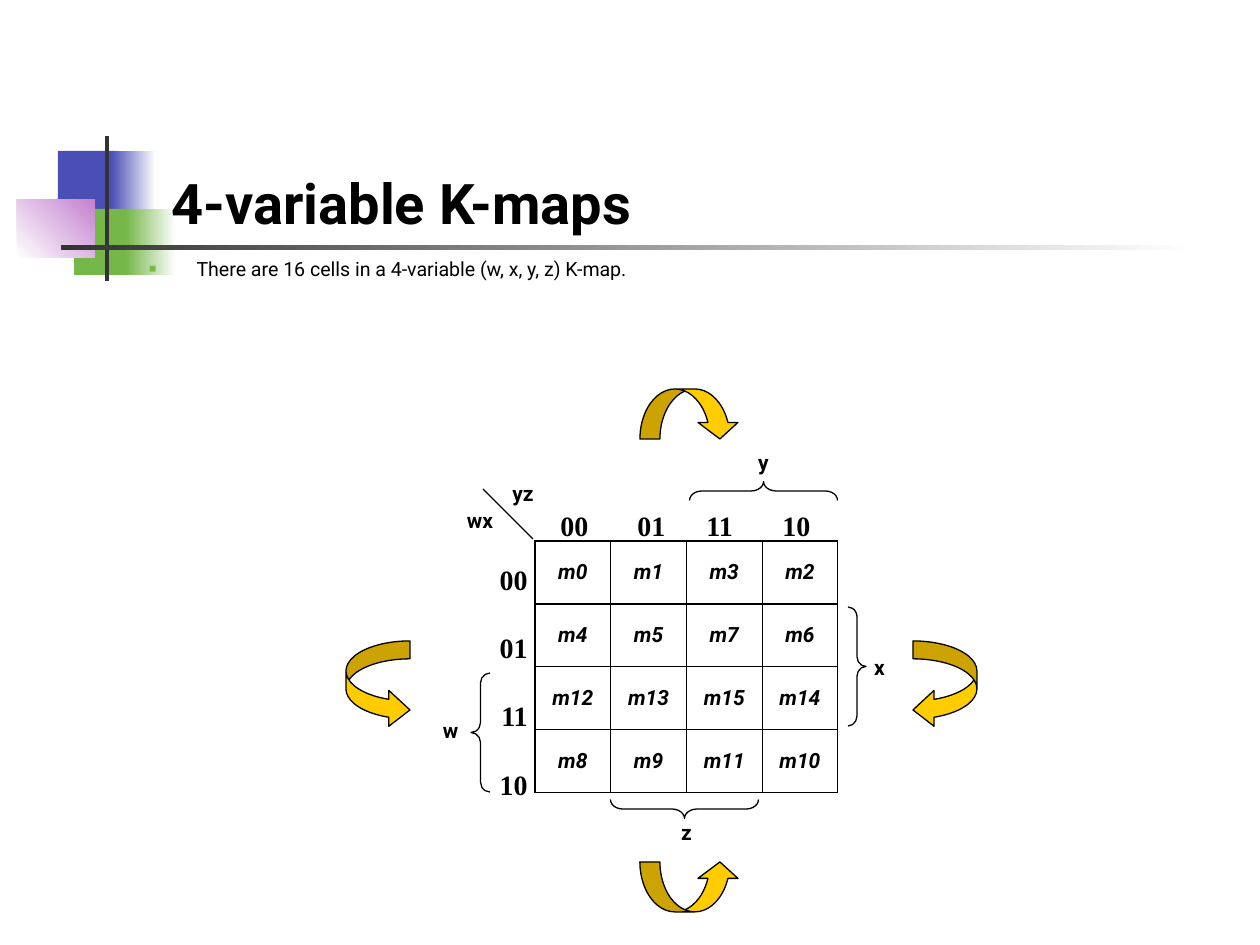
from lxml.etree import SubElement
from pptx import Presentation
from pptx.dml.color import RGBColor
from pptx.enum.shapes import MSO_CONNECTOR, MSO_SHAPE as SHAPE
from pptx.enum.text import MSO_ANCHOR as ANCHOR, MSO_AUTO_SIZE, PP_ALIGN as ALIGN
from pptx.oxml import parse_xml
from pptx.oxml.ns import nsdecls, qn
from pptx.util import Pt

PX = 914400 // 126
SANS, SERIF = "Roboto", "Times New Roman"
COLORS = {
    "black": "000000", "white": "FFFFFF", "blue": "4B4EB5", "green": "76B749",
    "pink": "C481CF", "bar": "333333", "arrow": "FFCC00",
}

TITLE = "4-variable K-maps"
POINT = "There are 16 cells in a 4-variable (w, x, y, z) K-map."
MINTERMS = [
    ["m0", "m1", "m3", "m2"],
    ["m4", "m5", "m7", "m6"],
    ["m12", "m13", "m15", "m14"],
    ["m8", "m9", "m11", "m10"],
]
GRAY_CODES = ["00", "01", "11", "10"]
HEADER_TABS = [77, 146, 222]
MAP_BOX = (535, 541, 303, 252)

DECOR = [
    ((58, 151, 60, 66), ["blue"], 0),
    ((111, 151, 45, 66), ["blue", "white"], 0),
    ((74, 209, 58, 66), ["green"], 0),
    ((126, 209, 50, 66), ["green", "white"], 0),
    ((17, 199, 78, 59), ["white", "pink"], 45),
    ((105, 136, 4, 145), ["bar"], 0),
    ((61, 245, 1134, 5), ["bar", "white"], 0),
]
VARIABLES = [
    ("w", (423, 711, 55, 50)),
    ("x", (852, 648, 55, 50)),
    ("y", (736, 443, 55, 40)),
    ("z", (659, 813, 55, 38)),
    ("wx", (447, 501, 66, 45)),
    ("yz", (490, 474, 66, 40)),
]
BRACES = [
    (SHAPE.LEFT_BRACE, (471, 673, 19, 119), 0),
    (SHAPE.RIGHT_BRACE, (848, 607, 18, 119), 0),
    (SHAPE.LEFT_BRACE, (754, 417, 19, 148), 90),
    (SHAPE.LEFT_BRACE, (675, 735, 19, 148), 270),
]
SIDE_BEND, END_BEND = (0.28, 0.56, 0.33), (0.4, 0.8, 0.33)
WRAP_ARROWS = [
    (SHAPE.CURVED_RIGHT_ARROW, (346, 641, 64, 87), SIDE_BEND),
    (SHAPE.CURVED_LEFT_ARROW, (913, 641, 64, 87), SIDE_BEND),
    (SHAPE.CURVED_UP_ARROW, (640, 862, 100, 50), END_BEND),
    (SHAPE.CURVED_DOWN_ARROW, (640, 389, 100, 50), END_BEND),
]


def rgb(name):
    return RGBColor.from_string(COLORS[name])


def emu(box):
    return [round(length * PX) for length in box]


def place(shape, box):
    shape.left, shape.top, shape.width, shape.height = emu(box)


def style(paragraph, size, face, align=ALIGN.LEFT, bold=True, italic=False):
    font = paragraph.font
    font.size, font.name, font.bold, font.italic = Pt(size), face, bold, italic
    font.color.rgb = rgb("black")
    paragraph.alignment = align


def outline(shape):
    shape.line.color.rgb = rgb("black")
    shape.line.width = Pt(0.75)


def add_preset(slide, kind, box):
    shape = slide.shapes.add_shape(kind, *emu(box))
    shape.shadow.inherit = False
    return shape


def add_label(slide, text, box, size, face, align):
    label = slide.shapes.add_textbox(*emu(box))
    frame = label.text_frame
    frame.word_wrap = True
    frame.text = text
    for paragraph in frame.paragraphs:
        style(paragraph, size, face, align)
    return frame


def add_decor(slide):
    for position, (box, colors, angle) in enumerate(DECOR, 2):
        block = add_preset(slide, SHAPE.RECTANGLE, box)
        block.line.fill.background()
        if len(colors) == 1:
            block.fill.solid()
            block.fill.fore_color.rgb = rgb(colors[0])
        else:
            block.fill.gradient()
            block.fill.gradient_angle = angle
            for stop, color, offset in zip(block.fill.gradient_stops, colors, (0, 1)):
                stop.color.rgb = rgb(color)
                stop.position = offset
        slide.shapes.element.insert(position, block.element)


def fill_placeholders(slide):
    heading, body = slide.shapes.title, slide.placeholders[1]
    place(heading, (159, 84, 1074, 158))
    place(body, (136, 220, 1092, 73))
    heading.text_frame.text, body.text_frame.text = TITLE, POINT
    heading.text_frame.vertical_anchor = ANCHOR.BOTTOM
    body.text_frame.vertical_anchor = ANCHOR.TOP
    body.text_frame.margin_top = 37 * PX
    for shape in (heading, body):
        shape.text_frame.auto_size = MSO_AUTO_SIZE.NONE
    style(heading.text_frame.paragraphs[0], 32, SANS)
    point = body.text_frame.paragraphs[0]
    style(point, 11.2, SANS, bold=False)
    point.space_before = Pt(0)
    props = point._p.get_or_add_pPr()
    props.set("marL", str(48 * PX))
    props.set("indent", str(-48 * PX))
    bullet_color = SubElement(props, qn("a:buClr"))
    SubElement(bullet_color, qn("a:srgbClr"), val=COLORS["green"])
    SubElement(props, qn("a:buSzPct"), val="120000")
    SubElement(props, qn("a:buChar"), char="▪")


def add_map(slide):
    grid = slide.shapes.add_table(len(MINTERMS), len(MINTERMS[0]), *emu(MAP_BOX)).table
    grid.first_row = grid.horz_banding = False
    for r, row in enumerate(MINTERMS):
        for c, minterm in enumerate(row):
            cell = grid.cell(r, c)
            cell.text = minterm
            cell.vertical_anchor = ANCHOR.MIDDLE
            cell.fill.background()
            style(cell.text_frame.paragraphs[0], 12, SANS, ALIGN.CENTER, italic=True)
            for i, side in enumerate("LRTB"):
                cell._tc.get_or_add_tcPr().insert(i, parse_xml(
                    f'<a:ln{side} {nsdecls("a")} w="9525"><a:solidFill>'
                    f'<a:srgbClr val="{COLORS["black"]}"/></a:solidFill></a:ln{side}>'))


def add_codes(slide):
    rows = add_label(slide, "\n".join(GRAY_CODES), (485, 556, 55, 258), 16, SERIF, ALIGN.RIGHT)
    rows.margin_left = 0
    for paragraph in rows.paragraphs[1:]:
        paragraph.space_before = Pt(19.9)
    header = add_label(slide, "\t".join(GRAY_CODES), (548, 502, 282, 50), 16, SERIF, ALIGN.LEFT)
    tabs = SubElement(header.paragraphs[0]._p.get_or_add_pPr(), qn("a:tabLst"))
    for stop in HEADER_TABS:
        SubElement(tabs, qn("a:tab"), pos=str(stop * PX), algn="l")


def add_marks(slide):
    for name, box in VARIABLES:
        add_label(slide, name, box, 12, SANS, ALIGN.CENTER)
    for kind, box, turn in BRACES:
        brace = add_preset(slide, kind, box)
        brace.rotation = turn
        brace.fill.background()
        brace.adjustments[0] = round(box[3] / box[2] / 12, 2)
        outline(brace)
    for kind, box, bend in WRAP_ARROWS:
        arrow = add_preset(slide, kind, box)
        arrow.fill.solid()
        arrow.fill.fore_color.rgb = rgb("arrow")
        for i, amount in enumerate(bend):
            arrow.adjustments[i] = amount
        outline(arrow)
    corner = slide.shapes.add_connector(MSO_CONNECTOR.STRAIGHT, *emu((533, 539, 483, 489)))
    outline(corner)
    SubElement(corner.element.spPr, qn("a:effectLst"))


def main():
    deck = Presentation()
    deck.slide_width, deck.slide_height = emu((1260, 945))
    slide = deck.slides.add_slide(deck.slide_layouts[1])
    fill_placeholders(slide)
    add_decor(slide)
    add_map(slide)
    add_codes(slide)
    add_marks(slide)
    deck.save("out.pptx")


if __name__ == "__main__":
    main()
